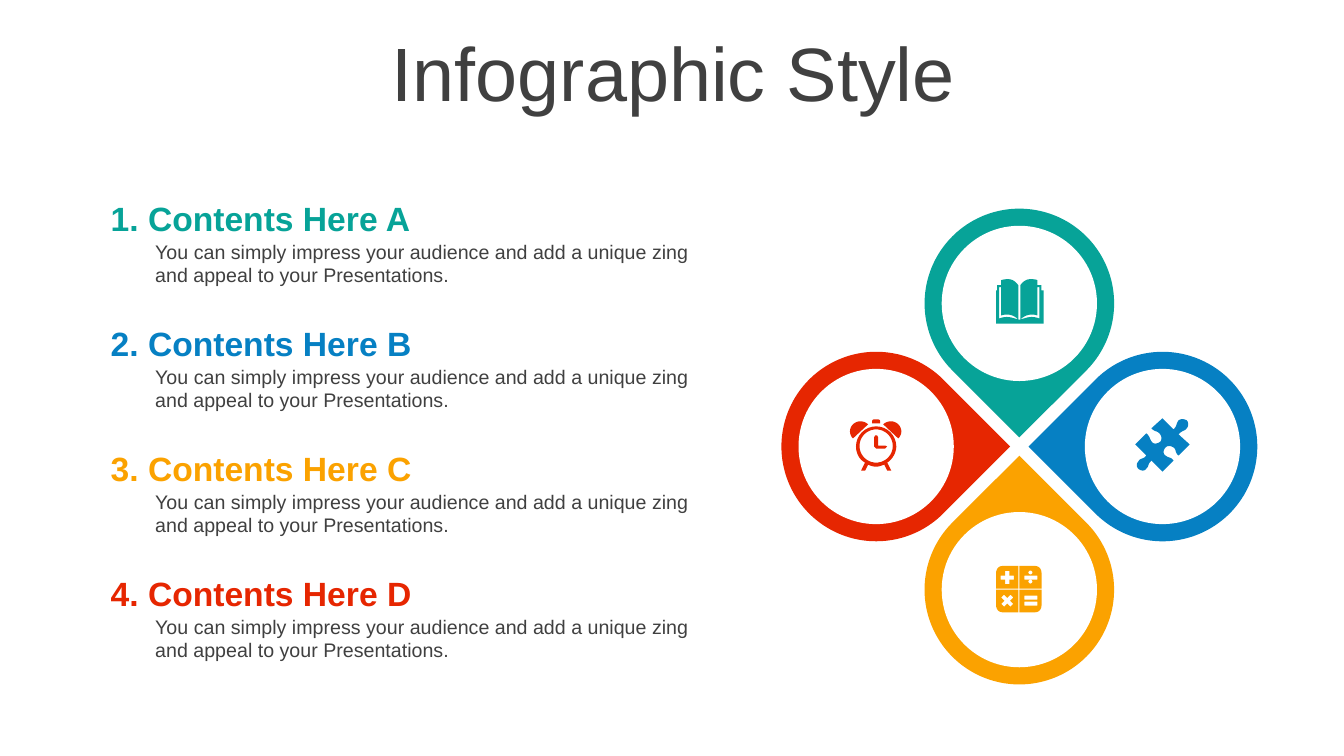
from math import cos, sin, pi, radians
from pptx import Presentation
from pptx.dml.color import RGBColor
from pptx.enum.shapes import MSO_SHAPE
from pptx.enum.text import MSO_ANCHOR, MSO_AUTO_SIZE, PP_ALIGN
from pptx.util import Pt

PX = 9144  # EMU per px, 100 px to the inch
THEME = dict(font="Arial", text="404040", white="FFFFFF",
             teal="07A398", blue="0680C3", amber="FBA200", red="E62601",
             title=54, heading=24, body=14)


def write_text(shape, text, size, color, bold=False, align=PP_ALIGN.LEFT,
               inset=(10, 5), fit=MSO_AUTO_SIZE.SHAPE_TO_FIT_TEXT):
    tf = shape.text_frame
    tf.word_wrap, tf.auto_size = True, fit
    tf.margin_left = tf.margin_right = inset[0] * PX
    tf.margin_top = tf.margin_bottom = inset[1] * PX
    p = tf.paragraphs[0]
    p.alignment = align
    r = p.add_run()
    r.text = text
    r.font.name, r.font.size, r.font.bold = THEME["font"], Pt(THEME[size]), bold
    r.font.color.rgb = RGBColor.from_string(THEME[color])
    return p


def draw_icon(shapes, contours, color):
    """Contours hold (x, y) corners and six-number Bezier curves."""
    fb = None
    for contour in contours:
        points = []
        for step in contour:
            if len(step) == 2:
                points.append(step)
                continue
            (x0, y0), (x1, y1, x2, y2, x3, y3) = points[-1], step
            for t in (i / 8 for i in range(1, 9)):
                a, b, c, d = (1 - t) ** 3, 3 * t * (1 - t) ** 2, 3 * t * t * (1 - t), t ** 3
                points.append((a * x0 + b * x1 + c * x2 + d * x3,
                               a * y0 + b * y1 + c * y2 + d * y3))
        points = [(x * PX, y * PX) for x, y in points]
        if fb is None:
            fb = shapes.build_freeform(*points[0], scale=1.0)
        else:
            fb.move_to(*points[0])
        fb.add_line_segments(points[1:], close=True)
    icon = fb.convert_to_shape()
    icon.shadow.inherit = False
    icon.fill.solid()
    icon.fill.fore_color.rgb = RGBColor.from_string(THEME[color])
    icon.line.fill.background()


prs = Presentation()
prs.slide_width, prs.slide_height = 1333 * PX, 750 * PX
s = prs.slides.add_slide(prs.slide_layouts[5])

# Title
title = s.shapes.title
title.left, title.top, title.width, title.height = (v * PX for v in (35, 37, 1266, 79))
p = write_text(title, "Infographic Style", "title", "text",
               align=PP_ALIGN.CENTER, fit=MSO_AUTO_SIZE.NONE)
p.line_spacing, p.space_before = 0.9, Pt(10)
title.text_frame.vertical_anchor = MSO_ANCHOR.MIDDLE

# Four petals around one centre: drops first, then their white discs
CENTRE_X, CENTRE_Y, REACH = 1011, 443, 142
PETALS = [("teal", 0, -1, 135), ("blue", 1, 0, 225),
          ("amber", 0, 1, 315), ("red", -1, 0, 45)]
for kind, size in ((MSO_SHAPE.TEAR, 188), (MSO_SHAPE.OVAL, 154)):
    for color, dx, dy, turn in PETALS:
        left = CENTRE_X + dx * REACH - size // 2
        top = CENTRE_Y + dy * REACH - size // 2
        sp = s.shapes.add_shape(kind, left * PX, top * PX, size * PX, size * PX)
        sp.shadow.inherit = False
        sp.fill.solid()
        is_drop = kind == MSO_SHAPE.TEAR
        sp.fill.fore_color.rgb = RGBColor.from_string(THEME[color if is_drop else "white"])
        sp.line.fill.background()
        if is_drop:
            sp.rotation = turn

# Alarm clock
hands = [(867, 434), (868, 432), (870, 432), (871, 434), (871, 442), (878, 442),
         (880, 443), (878, 445), (869, 445), (867, 443)]
face = [(869 + 16.5 * cos(pi * i / 24), 442.5 + 16.5 * sin(pi * i / 24)) for i in range(48)]
body = [(869, 423), (880, 423, 889, 432, 889, 443), (889, 449, 885, 456, 880, 459),
        (884, 467), (880, 467), (877, 461), (874, 462, 872, 463, 869, 463),
        (866, 463, 863, 462, 861, 461), (858, 467), (854, 467), (858, 459),
        (852, 456, 849, 449, 849, 443), (849, 432, 858, 423, 869, 423)]
left_bell = [(853, 418), (856, 418, 859, 419, 861, 421), (846, 435),
             (842, 431, 842, 425, 846, 421), (848, 419, 851, 418, 853, 418)]
right_bell = [tuple(1737 - v if i % 2 == 0 else v for i, v in enumerate(step))
              for step in left_bell]
button = [(867, 416), (870, 416), (872, 416, 873, 417, 873, 418), (873, 420),
          (865, 420), (865, 418), (865, 417, 866, 416, 867, 416)]
draw_icon(s.shapes, [hands, face, body, left_bell, right_bell, button], "red")

# Calculator: four mirrored keys with their signs cut out
keys = []
for sx in (-1, 1):
    for sy in (-1, 1):
        corner = [(0.5, 0.5), (22.5, 0.5), (22.5, 16),
                  (22.5, 20, 20, 23, 16, 23), (0.5, 23)]
        keys.append([tuple(1010.5 + sx * v if i % 2 == 0 else 584.5 + sy * v
                           for i, v in enumerate(step)) for step in corner])
cross = [(-2, -6.5), (2, -6.5), (2, -2), (6.5, -2), (6.5, 2), (2, 2),
         (2, 6.5), (-2, 6.5), (-2, 2), (-6.5, 2), (-6.5, -2), (-2, -2)]
for y, turn in ((573, 0), (596, radians(45))):
    keys.append([(999 + u * cos(turn) - v * sin(turn), y + u * sin(turn) + v * cos(turn))
                 for u, v in cross])
for y in (571, 591, 597):
    keys.append([(1016, y), (1029, y), (1029, y + 4), (1016, y + 4)])
for y in (568, 577):
    keys.append([(1022 + 2 * cos(pi * i / 8), y + 2 * sin(pi * i / 8)) for i in range(16)])
draw_icon(s.shapes, keys, "amber")

# Puzzle piece
puzzle = [(1177, 417), (1179, 419, 1179, 423, 1177, 425), (1175, 428, 1172, 427, 1169, 431),
          (1180, 441), (1169, 452), (1165, 449, 1167, 446, 1164, 444),
          (1161, 442, 1158, 442, 1156, 444), (1154, 446, 1153, 450, 1156, 452),
          (1160, 455, 1161, 453, 1164, 457), (1153, 468), (1142, 457),
          (1138, 461, 1140, 462, 1137, 465), (1135, 468, 1131, 467, 1129, 465),
          (1127, 463, 1127, 460, 1129, 458), (1131, 454, 1134, 456, 1137, 452),
          (1126, 441), (1137, 430), (1141, 433, 1140, 436, 1143, 439),
          (1145, 441, 1149, 440, 1151, 438), (1152, 437, 1153, 433, 1150, 430),
          (1147, 427, 1146, 429, 1142, 425), (1153, 415), (1164, 426),
          (1168, 422, 1166, 421, 1169, 417), (1172, 415, 1175, 416, 1177, 417)]
draw_icon(s.shapes, [puzzle], "blue")

# Open book
book = [(1010, 317), (1012, 317), (1019, 315, 1023, 313, 1031, 316), (1031, 285), (1029, 285),
        (1029, 313), (1024, 311, 1017, 312, 1012, 317), (1012, 283),
        (1015, 279, 1018, 277, 1022, 277), (1024, 277, 1027, 277, 1029, 278),
        (1029, 283), (1033, 283), (1033, 288), (1035, 288), (1035, 321), (988, 321),
        (988, 288), (989, 288), (989, 283), (993, 283), (993, 278),
        (996, 277, 998, 277, 1000, 277), (1004, 277, 1007, 279, 1010, 283), (1010, 317),
        (1005, 312, 999, 311, 993, 313), (993, 285), (991, 285), (991, 316),
        (999, 313, 1003, 315, 1010, 317)]
draw_icon(s.shapes, [book], "teal")

# Numbered contents, one group per row
BODY = "You can simply impress your audience and add a unique zing and appeal to your Presentations."
for i, (color, *_) in enumerate(PETALS):
    top = 191 + 124 * i
    row = s.shapes.add_group_shape().shapes
    tb = row.add_textbox(146 * PX, (top + 42) * PX, 557 * PX, 57 * PX)
    write_text(tb, BODY, "body", "text", inset=(8, 5))
    tb = row.add_textbox(100 * PX, top * PX, 604 * PX, 50 * PX)
    write_text(tb, f"{i + 1}. Contents Here {'ABCD'[i]}", "heading", color, bold=True)

prs.save("out.pptx")
